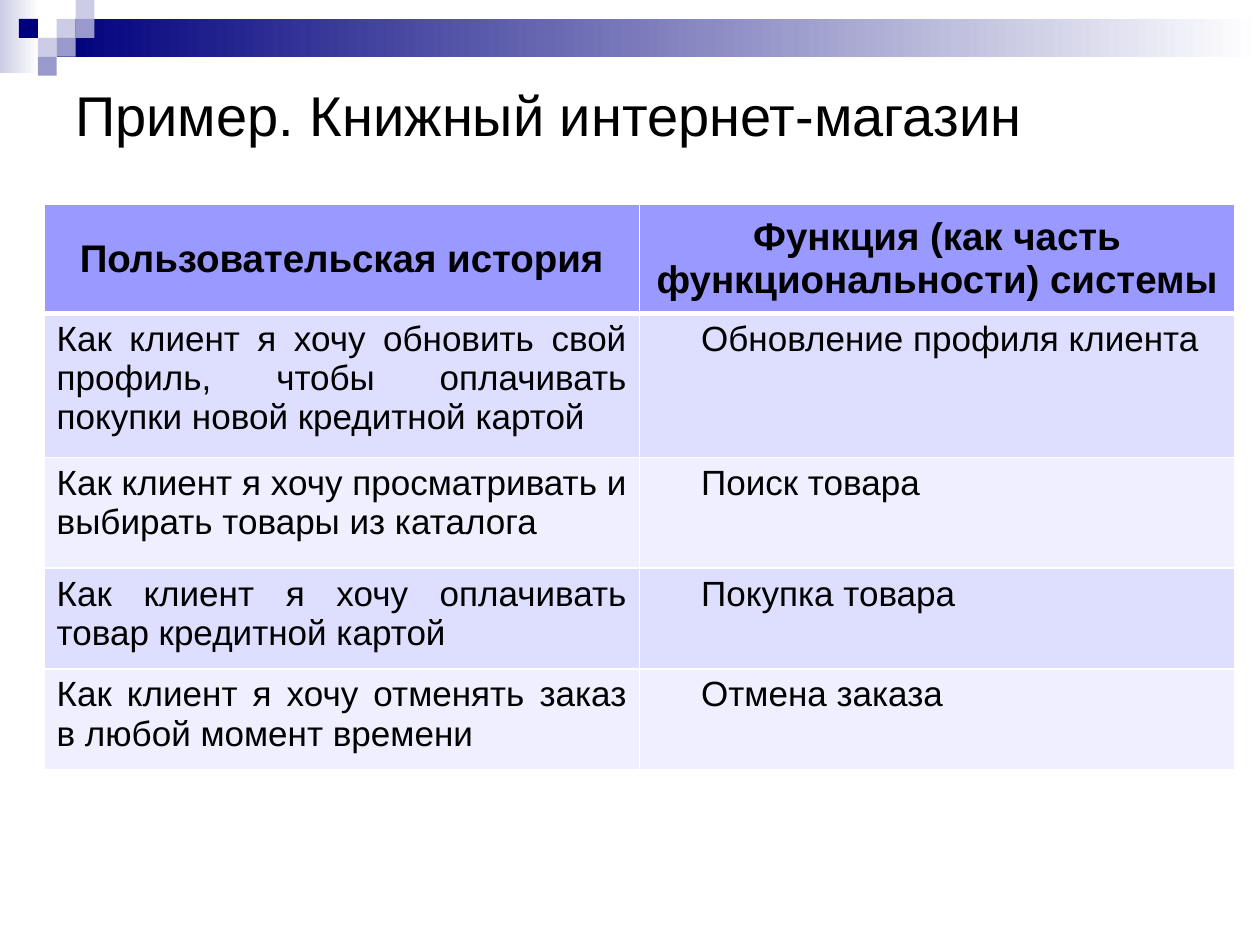
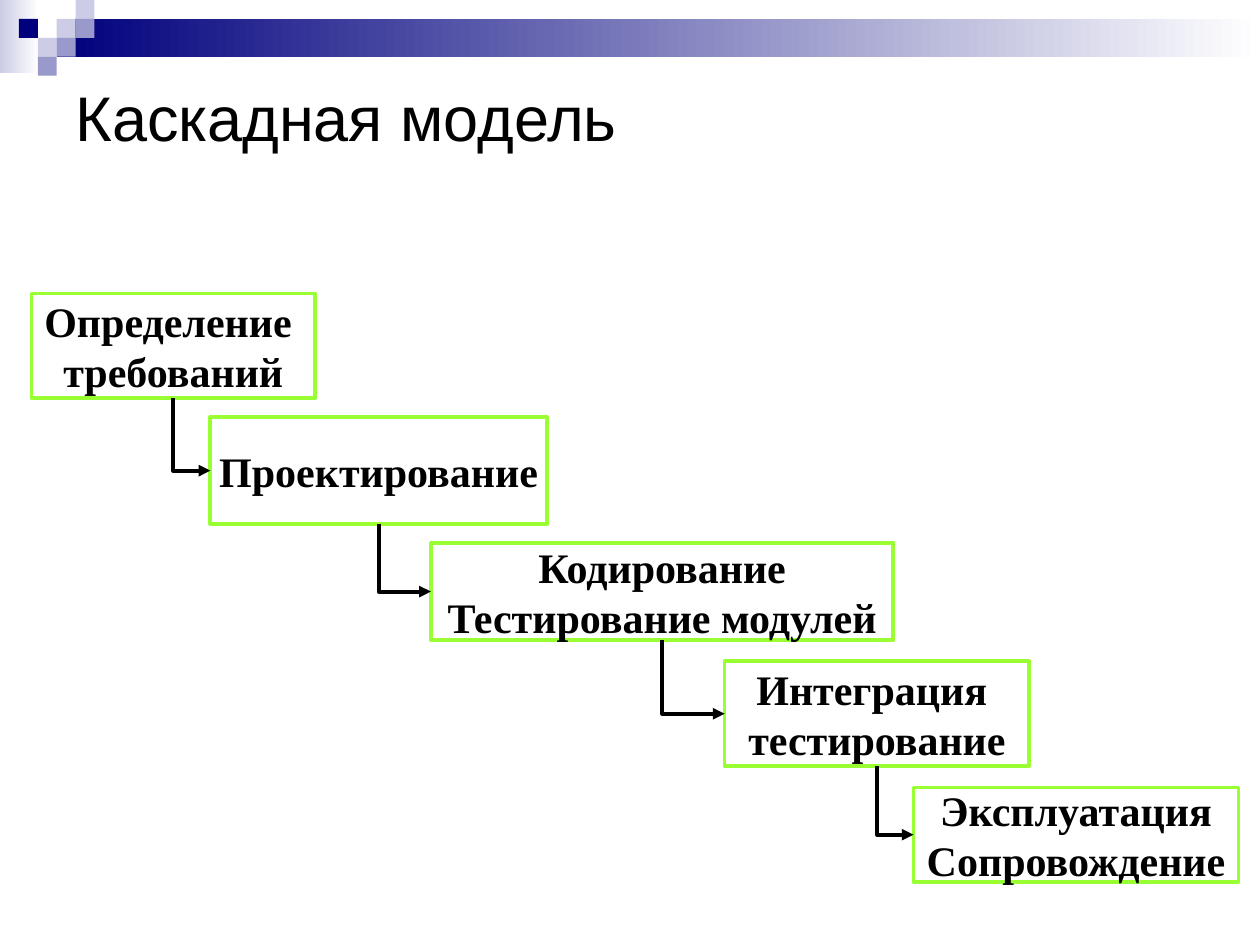
from dataclasses import dataclass
from itertools import pairwise

from lxml.etree import SubElement
from pptx import Presentation
from pptx.dml.color import RGBColor
from pptx.enum.shapes import MSO_CONNECTOR, MSO_SHAPE
from pptx.enum.text import MSO_ANCHOR, PP_ALIGN
from pptx.oxml.ns import qn
from pptx.presentation import Presentation as Deck
from pptx.shapes.autoshape import Shape
from pptx.slide import Slide
from pptx.table import _Cell
from pptx.text.text import _Paragraph
from pptx.util import Inches, Pt

COLORS = {
    "text": "000000",
    "white": "FFFFFF",
    "navy": "00007D",
    "pale": "CCCCE6",
    "lavender": "9999CC",
    "header": "9999FF",
    "row_dark": "DEDEFF",
    "row_light": "EFEFFF",
    "stage": "99FF33",
}
SQUARE = 0.15


@dataclass(frozen=True)
class Box:
    left: float
    top: float
    width: float
    height: float


@dataclass(frozen=True)
class Fade:
    box: Box
    color: str


@dataclass(frozen=True)
class Square:
    col: int
    row: int
    color: str


@dataclass(frozen=True)
class Story:
    text: str
    feature: str
    height: float


@dataclass(frozen=True)
class Stage:
    box: Box
    paragraphs: tuple[str, ...]


FADES = (
    Fade(Box(0, 0, 0.31, 0.58), "pale"),
    Fade(Box(0.45, 0.15, 9.55, 0.3), "navy"),
)
SQUARES = (
    Square(3, 1, "pale"),
    Square(4, 0, "pale"),
    Square(4, 1, "lavender"),
    Square(2, 2, "pale"),
    Square(1, 1, "navy"),
    Square(3, 2, "lavender"),
    Square(2, 3, "lavender"),
)
HEADINGS = ("Пользовательская история", "Функция (как часть функциональности) системы ")
HEADER_HEIGHT = 0.87
STORIES = (
    Story("Как клиент я хочу обновить свой профиль, чтобы оплачивать покупки новой кредитной картой",
          "Обновление профиля клиента", 1.14),
    Story("Как клиент я хочу просматривать и выбирать товары из каталога", "Поиск товара", 0.88),
    Story("Как клиент я хочу оплачивать товар кредитной картой", "Покупка товара", 0.8),
    Story("Как клиент я хочу отменять заказ в любой момент времени ", "Отмена заказа", 0.8),
)
STAGES = (
    Stage(Box(0.25, 2.33, 2.25, 0.83), ("Определение \nтребований",)),
    Stage(Box(1.67, 3.31, 2.67, 0.85), ("Проектирование",)),
    Stage(Box(3.42, 4.31, 3.67, 0.77), ("Кодирование", "Тестирование модулей")),
    Stage(Box(5.75, 5.25, 2.42, 0.83), ("Интеграция \nтестирование",)),
    Stage(Box(7.25, 6.25, 2.58, 0.75), ("Эксплуатация", "Сопровождение")),
)


def rgb(name: str) -> RGBColor:
    return RGBColor.from_string(COLORS[name])


def place(box: Box) -> tuple[Inches, Inches, Inches, Inches]:
    return Inches(box.left), Inches(box.top), Inches(box.width), Inches(box.height)


def add_run(p: _Paragraph, text: str, size: int, font: str = "Arial", bold: bool = False) -> None:
    r = p.add_run()
    r.text = text
    r.font.size = Pt(size)
    r.font.name = font
    r.font.bold = bold
    r.font.color.rgb = rgb("text")


def add_rect(s: Slide, box: Box) -> Shape:
    sp = s.shapes.add_shape(MSO_SHAPE.RECTANGLE, *place(box))
    sp.shadow.inherit = False
    return sp


def add_decor(s: Slide) -> None:
    for fade in FADES:
        sp = add_rect(s, fade.box)
        sp.line.fill.background()
        sp.fill.gradient()
        sp.fill.gradient_angle = 0
        for stop, color in zip(sp.fill.gradient_stops, (fade.color, "white")):
            stop.color.rgb = rgb(color)
    for square in SQUARES:
        sp = add_rect(s, Box(square.col * SQUARE, square.row * SQUARE, SQUARE, SQUARE))
        sp.line.fill.background()
        sp.fill.solid()
        sp.fill.fore_color.rgb = rgb(square.color)


def add_titled_slide(prs: Deck, title: str, size: int, height: float) -> Slide:
    s = prs.slides.add_slide(prs.slide_layouts[6])
    add_decor(s)
    tf = s.shapes.add_textbox(*place(Box(0.5, 0.5, 9, height))).text_frame
    tf.word_wrap = True
    tf.vertical_anchor = MSO_ANCHOR.MIDDLE
    add_run(tf.paragraphs[0], title, size)
    return s


def set_borders(cell: _Cell, bottom: float, top: float) -> None:
    tcPr = cell._tc.get_or_add_tcPr()
    for side, width in (("L", 1), ("R", 1), ("T", top), ("B", bottom)):
        ln = SubElement(tcPr, qn(f"a:ln{side}"), w=str(Pt(width)))
        fill = SubElement(ln, qn("a:solidFill"))
        SubElement(fill, qn("a:srgbClr"), val=COLORS["white"])


def fill_cell(cell: _Cell, text: str, color: str, size: int, bold: bool = False,
              bottom: float = 1, top: float = 1) -> _Paragraph:
    set_borders(cell, bottom, top)
    cell.fill.solid()
    cell.fill.fore_color.rgb = rgb(color)
    p = cell.text_frame.paragraphs[0]
    p.space_before = p.space_after = Pt(3)
    add_run(p, text, size, bold=bold)
    return p


def add_story_table(s: Slide) -> None:
    heights = [HEADER_HEIGHT, *(story.height for story in STORIES)]
    box = Box(0.35, 1.62, 9.45, sum(heights))
    table = s.shapes.add_table(len(heights), len(HEADINGS), *place(box)).table
    for row, height in zip(table.rows, heights):
        row.height = Inches(height)
    for cell, heading in zip(table.rows[0].cells, HEADINGS):
        cell.vertical_anchor = MSO_ANCHOR.MIDDLE
        p = fill_cell(cell, heading, "header", 22, bold=True, bottom=3)
        p.alignment = PP_ALIGN.CENTER
    for i, story in enumerate(STORIES, start=1):
        color = "row_dark" if i % 2 else "row_light"
        top = 3 if i == 1 else 1
        p = fill_cell(table.cell(i, 0), story.text, color, 20, top=top)
        p.alignment = PP_ALIGN.JUSTIFY
        p = fill_cell(table.cell(i, 1), story.feature, color, 20, top=top)
        pPr = p._p.get_or_add_pPr()
        pPr.set("marL", "0")
        pPr.set("indent", str(Inches(0.39)))


def add_stage(s: Slide, stage: Stage) -> Shape:
    sp = add_rect(s, stage.box)
    sp.fill.background()
    sp.line.color.rgb = rgb("stage")
    sp.line.width = Pt(2.25)
    tf = sp.text_frame
    tf.word_wrap = False
    tf.vertical_anchor = MSO_ANCHOR.MIDDLE
    for i, paragraph in enumerate(stage.paragraphs):
        p = tf.add_paragraph() if i else tf.paragraphs[0]
        p.alignment = PP_ALIGN.CENTER
        for j, line in enumerate(paragraph.split("\n")):
            if j:
                p.add_line_break()
            add_run(p, line, 24, "Times New Roman", bold=True)
    return sp


def add_step_arrow(s: Slide, upper: Shape, lower: Shape) -> None:
    x1, y1 = upper.left + upper.width // 2, upper.top + upper.height
    x2, y2 = lower.left, lower.top + lower.height // 2
    cx = s.shapes.add_connector(MSO_CONNECTOR.ELBOW, x1, y1, x2, y2)
    cx.begin_connect(upper, 2)
    cx.end_connect(lower, 1)
    cx.width, cx.height = y2 - y1, x2 - x1
    cx.left = (x1 + x2 - cx.width) // 2
    cx.top = (y1 + y2 - cx.height) // 2
    spPr = cx._element.spPr
    xfrm = spPr.find(qn("a:xfrm"))
    xfrm.set("rot", "16200000")
    xfrm.set("flipH", "1")
    spPr.find(qn("a:prstGeom")).set("prst", "bentConnector2")
    cx.line.color.rgb = rgb("text")
    cx.line.width = Pt(2.25)
    SubElement(cx.line._get_or_add_ln(), qn("a:tailEnd"), type="triangle")
    SubElement(spPr, qn("a:effectLst"))


def main() -> None:
    prs = Presentation()
    prs.slide_width = Inches(10)
    prs.slide_height = Inches(7.5)

    s = add_titled_slide(prs, "Пример. Книжный интернет-магазин", 32, 0.81)
    add_story_table(s)

    s = add_titled_slide(prs, "Каскадная модель", 36, 0.85)
    boxes = [add_stage(s, stage) for stage in STAGES]
    for upper, lower in pairwise(boxes):
        add_step_arrow(s, upper, lower)

    prs.save("out.pptx")


if __name__ == "__main__":
    main()
